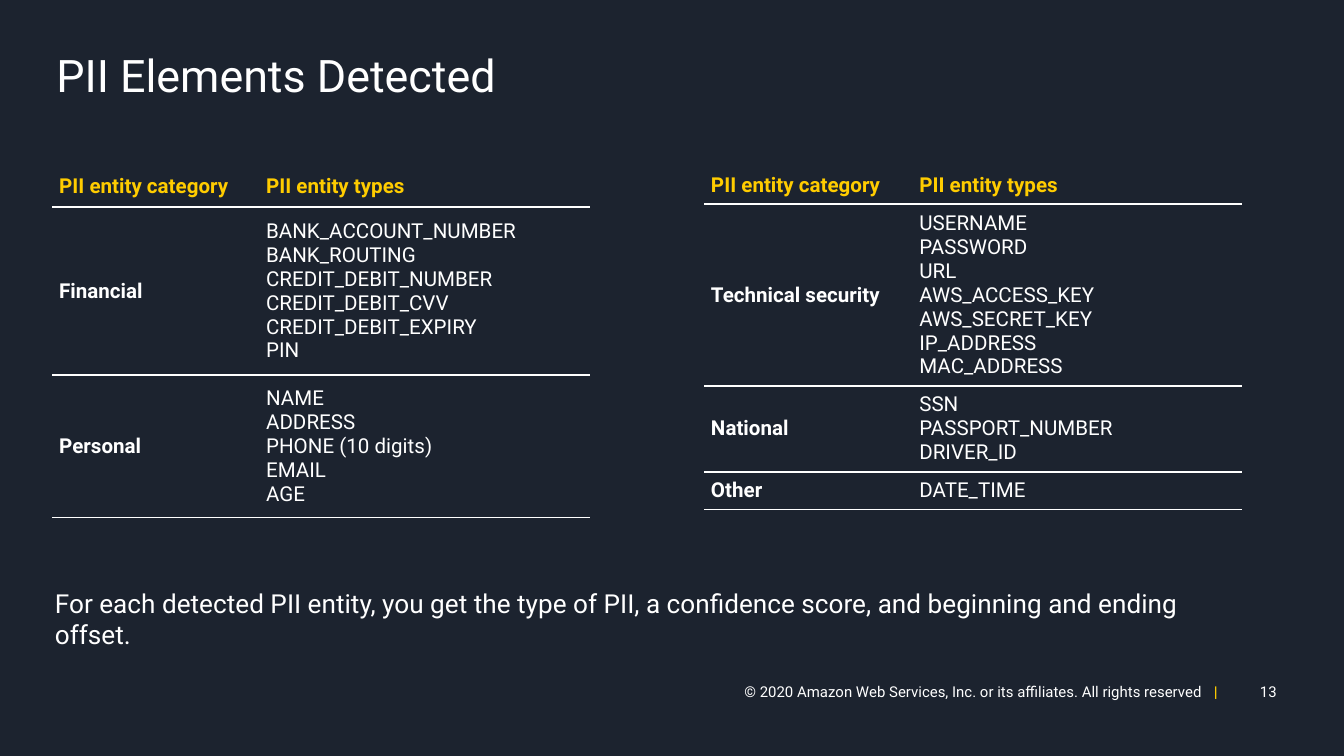
"""Build the slide that lists the detected PII elements in two tables."""
from lxml import etree
from pptx import Presentation
from pptx import util as u
from pptx.dml.color import RGBColor
from pptx.enum import text
from pptx.oxml import ns

COLORS = {"background": "1C232F", "white": "FFFFFF", "yellow": "FFCC00"}
TABLES = [
    {"left": 0.39, "columns": [1.54, 2.46], "rows": [0.3, 1.25, 1.06], "entities": [
        ("Financial", ["BANK_ACCOUNT_NUMBER", "BANK_ROUTING", "CREDIT_DEBIT_NUMBER",
                       "CREDIT_DEBIT_CVV", "CREDIT_DEBIT_EXPIRY", "PIN"]),
        ("Personal", ["NAME", "ADDRESS", "PHONE (10 digits)", "EMAIL", "AGE"]),
    ]},
    {"left": 5.24, "columns": [1.55, 2.45], "rows": [0.28, 1.35, 0.64, 0.28], "entities": [
        ("Technical security", ["USERNAME", "PASSWORD", "URL", "AWS_ACCESS_KEY",
                                "AWS_SECRET_KEY", "IP_ADDRESS", "MAC_ADDRESS"]),
        ("National", ["SSN", "PASSPORT_NUMBER", "DRIVER_ID"]),
        ("Other", ["DATE_TIME"]),
    ]},
]
HEADER = ("PII entity category", ["PII entity types"])
MARGINS = ("margin_left", "margin_top", "margin_right", "margin_bottom")


def add_span(para, words, size, color="white", bold=False):
    span = para.add_run()
    span.text = words
    for name, value in {"name": "Roboto", "size": u.Pt(size), "bold": bold}.items():
        setattr(span.font, name, value)
    span.font.color.rgb = RGBColor.from_string(COLORS[color])
    return span


def set_border(cell, position, side, visible):
    line = etree.Element(ns.qn(f"a:{side}"), w=str(u.Pt(1)))
    if visible:
        fill = etree.SubElement(line, ns.qn("a:solidFill"))
        etree.SubElement(fill, ns.qn("a:srgbClr"), val=COLORS["white"])
    else:
        etree.SubElement(line, ns.qn("a:noFill"))
    cell._tc.get_or_add_tcPr().insert(position, line)


deck = Presentation()
deck.slide_width = u.Inches(10)
deck.slide_height = u.Inches(10 * 9 / 16)
page = deck.slides.add_slide(deck.slide_layouts[5])
page.background.fill.solid()
page.background.fill.fore_color.rgb = RGBColor.from_string(COLORS["background"])

title = page.shapes.title
place = {"left": 0.22, "top": 0.24, "width": 9.56, "height": 0.74}
for name, value in place.items():
    setattr(title, name, u.Inches(value))
for name, value in zip(MARGINS, (0.2, 0.16, 0.2, 0.16)):
    setattr(title.text_frame, name, u.Inches(value))
title.text_frame.vertical_anchor = text.MSO_ANCHOR.TOP
title.text_frame.auto_size = text.MSO_AUTO_SIZE.NONE
para = title.text_frame.paragraphs[0]
para.alignment = text.PP_ALIGN.LEFT
para.line_spacing = 0.9
add_span(para, "PII Elements Detected", 24)

for entry in TABLES:
    entities = [HEADER] + entry["entities"]
    frame = page.shapes.add_table(
        len(entities), 2, u.Inches(entry["left"]), u.Inches(1.24),
        u.Inches(sum(entry["columns"])), u.Inches(sum(entry["rows"])))
    table = frame.table
    table.first_row = table.horz_banding = False
    for column, width in zip(table.columns, entry["columns"]):
        column.width = u.Inches(width)
    for row, (category, types) in enumerate(entities):
        table.rows[row].height = u.Inches(entry["rows"][row])
        for column, lines in enumerate(([category], types)):
            cell = table.cell(row, column)
            cell.fill.background()
            cell.vertical_anchor = text.MSO_ANCHOR.MIDDLE
            for name in MARGINS:
                setattr(cell, name, u.Inches(0.05))
            borders = {"lnL": False, "lnR": False, "lnT": row > 0, "lnB": True}
            for position, (side, visible) in enumerate(borders.items()):
                set_border(cell, position, side, visible)
            for index, words in enumerate(lines):
                body = cell.text_frame
                para = body.add_paragraph() if index else body.paragraphs[0]
                add_span(para, words, 11, "white" if row else "yellow",
                         row == 0 or column == 0)

box = page.shapes.add_textbox(u.Inches(0.31), u.Inches(4.32), u.Inches(9.01), u.Inches(0.57))
box.text_frame.word_wrap = True
box.text_frame.auto_size = text.MSO_AUTO_SIZE.SHAPE_TO_FIT_TEXT
add_span(box.text_frame.paragraphs[0],
         "For each detected PII entity, you get the type of PII, a confidence score, "
         "and beginning and ending offset.", 14)

footer_paras = []
for left, width in ((5.07, 3.99), (8.57, 0.93)):
    box = page.shapes.add_textbox(u.Inches(left), u.Inches(5.06), u.Inches(width), u.Inches(0.17))
    box.text_frame.word_wrap = True
    box.text_frame.vertical_anchor = text.MSO_ANCHOR.MIDDLE
    for name in MARGINS:
        setattr(box.text_frame, name, 0)
    para = box.text_frame.paragraphs[0]
    para.alignment = text.PP_ALIGN.RIGHT
    footer_paras.append(para)
copyright_para, number_para = footer_paras
add_span(copyright_para,
         "© 2020 Amazon Web Services, Inc. or its affiliates. All rights reserved", 8)
gap = add_span(copyright_para, " ", 8)
gap._r.get_or_add_rPr().set("spc", "400")
add_span(copyright_para, "|", 8, "yellow", True)
add_span(number_para, "13", 8)

deck.save("out.pptx")
